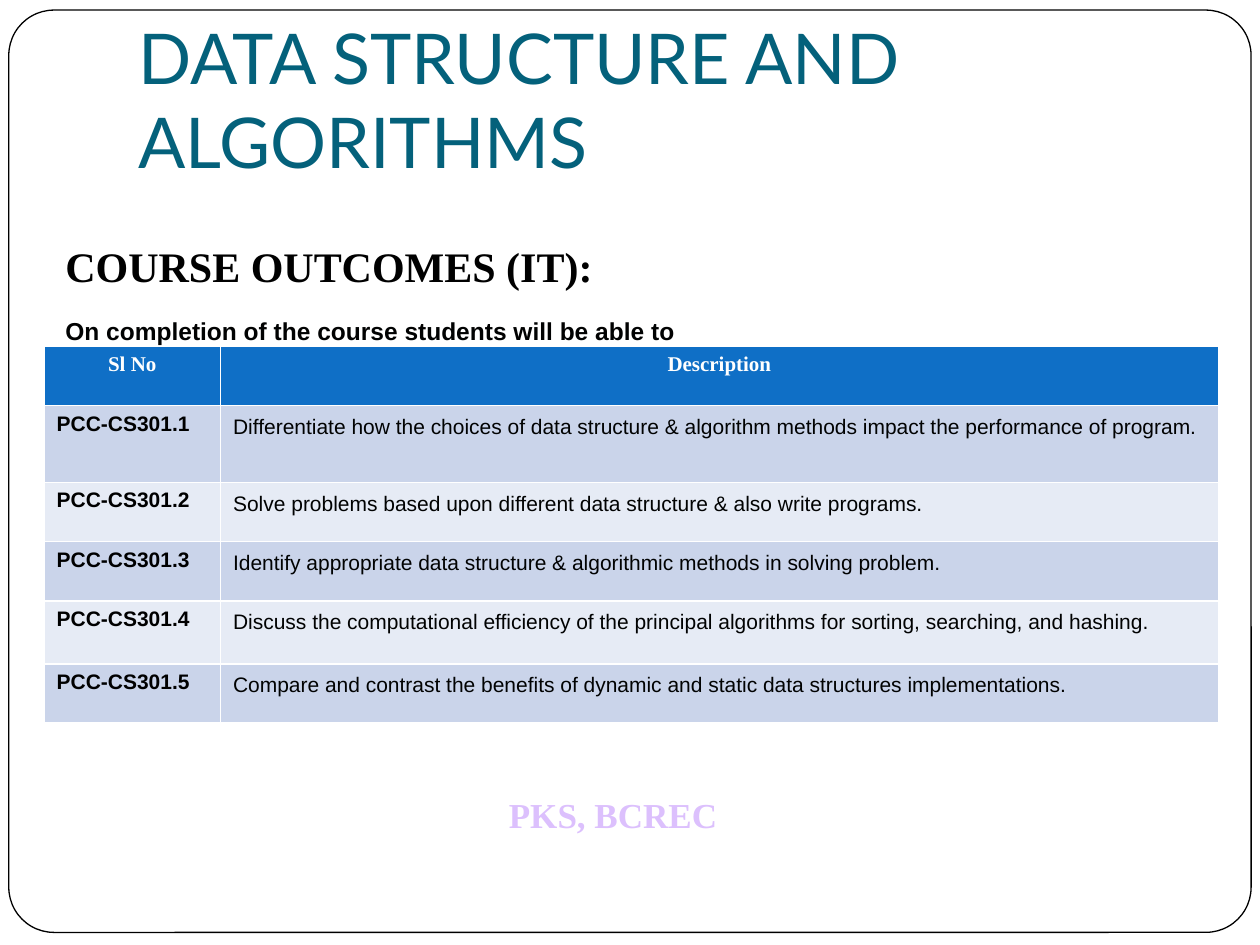
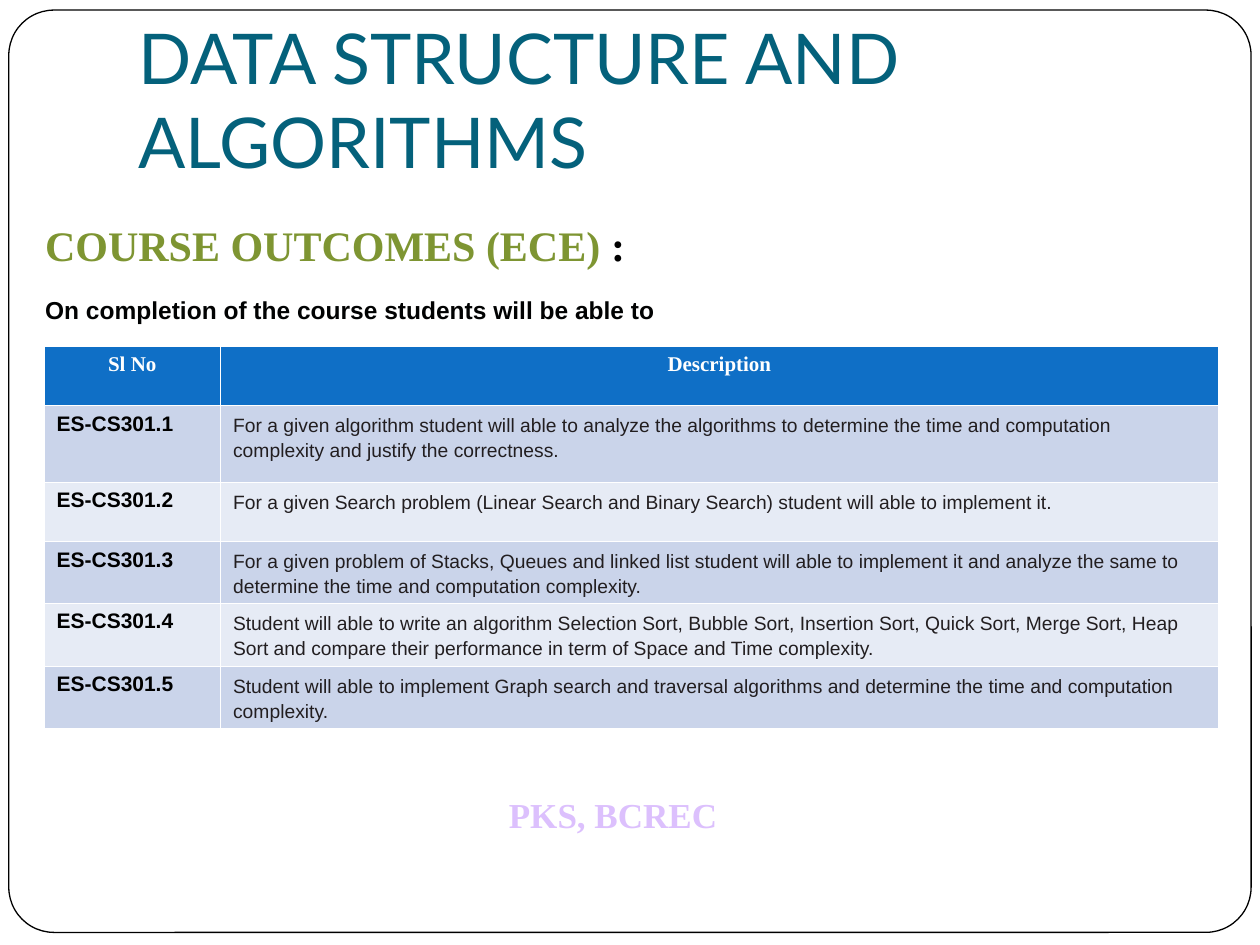
from dataclasses import dataclass

from pptx import Presentation
from pptx.dml.color import RGBColor
from pptx.enum.shapes import MSO_SHAPE
from pptx.enum.text import MSO_ANCHOR, MSO_AUTO_SIZE, PP_ALIGN
from pptx.util import Inches, Pt

ROUNDED = MSO_SHAPE.ROUNDED_RECTANGLE
BOTTOM = MSO_ANCHOR.BOTTOM
NO_FIT = MSO_AUTO_SIZE.NONE
LEFT, CENTER = PP_ALIGN.LEFT, PP_ALIGN.CENTER


@dataclass(frozen=True)
class Theme:
    """Fonts, colours and type sizes of the presentation."""
    title_font: str = "Lato"
    serif: str = "Times New Roman"
    sans: str = "Arial"
    title: str = "04617B"
    footer: str = "DCC0FD"
    black: str = "000000"
    white: str = "FFFFFF"
    ink: str = "010202"
    soft_ink: str = "221E20"
    olive: str = "7E9532"
    header: str = "0F6FC6"
    bands: tuple = ("CAD4EA", "E6EBF5")
    title_size: int = 40
    heading_size: int = 24
    footer_size: int = 20
    lead_size: int = 14
    table_size: int = 12
    small_size: int = 11
    line_spacing: float = 1.15
    gap: int = 12


T = Theme()
TITLE = "DATA STRUCTURE AND ALGORITHMS"
LEAD = "On completion of the course students will be able to"
FOOTER = "PKS, BCREC"
HEADERS = ("Sl No", "Description")
FRAME_BOX = (0.07, 0.08, 9.86, 7.32)
FOOTER_BOX = (3.94, 6.25, 2.31, 0.44)
TITLE_BOX = (1, 0.3, 8.5, 1.25)
TABLE_BOX = (0.35, 2.75, 9.32, 2.99)
COLUMNS = (1.4, 7.92)
ROWS = (0.47, 0.61, 0.47, 0.47, 0.5, 0.47)

IT_OUTCOMES = (
    "Differentiate how the choices of data structure & algorithm methods impact the performance of program.",
    "Solve problems based upon different data structure & also write programs.",
    "Identify appropriate data structure & algorithmic methods in solving problem.",
    "Discuss the computational efficiency of the principal algorithms for sorting, searching, and hashing.",
    "Compare and contrast the benefits of dynamic and static data structures implementations.",
)
ECE_OUTCOMES = (
    "For a given algorithm student will able to analyze the algorithms to determine the time and computation "
    "complexity and justify the correctness.",
    "For a given Search problem (Linear Search and Binary Search) student will able to implement it.",
    "For a given problem of Stacks, Queues and linked list student will able to implement it and analyze the "
    "same to determine the time and computation complexity.",
    "Student will able to write an algorithm Selection Sort, Bubble Sort, Insertion Sort, Quick Sort, Merge "
    "Sort, Heap Sort and compare their performance in term of Space and Time complexity.",
    "Student will able to implement Graph search and traversal algorithms and determine the time and "
    "computation complexity.",
)


def rgb(color):
    """Return the colour object of a hex string."""
    return RGBColor.from_string(color)


def inches(box):
    """Return the lengths of a box in inches."""
    return [Inches(v) for v in box]


def add_run(p, text, font, size, color, bold=False):
    """Append one formatted run to a paragraph."""
    r = p.add_run()
    r.text = text
    r.font.name, r.font.size, r.font.bold = font, Pt(size), bold
    r.font.color.rgb = rgb(color)


def space_out(p):
    """Give a paragraph the loose spacing of the running text."""
    p.line_spacing = T.line_spacing
    p.space_before = p.space_after = Pt(T.gap)


def add_text_box(s, box):
    """Add a wrapping text box and return its text frame."""
    tf = s.shapes.add_textbox(*inches(box)).text_frame
    tf.word_wrap = True
    return tf


def add_frame(s, box):
    """Add the rounded page frame and return it."""
    sp = s.shapes.add_shape(ROUNDED, *inches(box))
    sp.adjustments[0] = 0.049
    sp.shadow.inherit = False
    sp.fill.solid()
    sp.fill.fore_color.rgb = rgb(T.white)
    sp.line.color.rgb = rgb(T.black)
    sp.line.width = Pt(0.75)
    return sp


def add_footer(s, box):
    """Add the footer text and return its shape."""
    sp = s.shapes.add_textbox(*inches(box))
    sp.text_frame.word_wrap = True
    add_run(sp.text_frame.paragraphs[0], FOOTER, T.serif, T.footer_size, T.footer, True)
    return sp


def prepare_layout(layout):
    """Keep only the title placeholder of the layout and place it."""
    for ph in list(layout.placeholders):
        if ph.placeholder_format.idx:
            layout.shapes.element.remove(ph.element)
    title = layout.placeholders[0]
    title.left, title.top, title.width, title.height = inches(TITLE_BOX)
    tf = title.text_frame
    tf.vertical_anchor, tf.auto_size, tf.word_wrap = BOTTOM, NO_FIT, True
    tf.margin_bottom = Inches(0.1)


def share_decoration(s, layout):
    """Move the page frame and footer onto the layout, behind the title."""
    parts = [add_frame(s, FRAME_BOX), add_footer(s, FOOTER_BOX)]
    for i, sp in enumerate(parts, start=2):
        layout.shapes.element.insert(i, sp.element)


def fill_title(s):
    """Write the title into its placeholder."""
    p = s.shapes.title.text_frame.paragraphs[0]
    p.alignment = LEFT
    add_run(p, TITLE, T.title_font, T.title_size, T.title)


def add_heading(s, box, parts):
    """Add the coloured heading and the lead sentence below it."""
    tf = add_text_box(s, box)
    for text, color in parts:
        add_run(tf.paragraphs[0], text, T.serif, T.heading_size, color, True)
    p = tf.add_paragraph()
    space_out(p)
    add_run(p, LEAD, T.sans, T.lead_size, T.ink, True)


def fill_cell(cell, fill):
    """Colour a cell and return its first paragraph."""
    cell.fill.solid()
    cell.fill.fore_color.rgb = rgb(fill)
    return cell.text_frame.paragraphs[0]


def add_outcomes(s, box, prefix, outcomes, size, color):
    """Add the table of numbered course outcomes."""
    table = s.shapes.add_table(len(ROWS), len(COLUMNS), *inches(box)).table
    for col, width in zip(table.columns, COLUMNS):
        col.width = Inches(width)
    for row, height in zip(table.rows, ROWS):
        row.height = Inches(height)
    for c, text in enumerate(HEADERS):
        p = fill_cell(table.cell(0, c), T.header)
        p.alignment = CENTER
        add_run(p, text, T.serif, T.table_size, T.white, True)
    for i, text in enumerate(outcomes, start=1):
        band = T.bands[(i - 1) % 2]
        p = fill_cell(table.cell(i, 0), band)
        add_run(p, f"{prefix}-CS301.{i}", T.sans, T.table_size, T.black, True)
        p = fill_cell(table.cell(i, 1), band)
        space_out(p)
        add_run(p, text, T.sans, size, color)


def it_slide(s):
    """Fill the slide of the IT outcomes."""
    fill_title(s)
    add_heading(s, (0.42, 1.86, 6.63, 0.64), [("COURSE OUTCOMES (IT):", T.black)])
    add_outcomes(s, TABLE_BOX, "PCC", IT_OUTCOMES, T.table_size, T.ink)


def ece_slide(s):
    """Fill the slide of the ECE outcomes."""
    fill_title(s)
    add_outcomes(s, TABLE_BOX, "ES", ECE_OUTCOMES, T.small_size, T.soft_ink)
    add_heading(s, (0.26, 1.69, 5.54, 0.64),
                [("COURSE OUTCOMES (ECE) ", T.olive), (":", T.black)])


def main():
    """Build and save the presentation."""
    prs = Presentation()
    prs.slide_width, prs.slide_height = Inches(10), Inches(7.5)
    layout = prs.slide_layouts[5]
    prepare_layout(layout)
    slides = [prs.slides.add_slide(layout) for _ in range(2)]
    share_decoration(slides[0], layout)
    for build, s in zip((it_slide, ece_slide), slides):
        build(s)
    prs.save("out.pptx")


if __name__ == "__main__":
    main()
